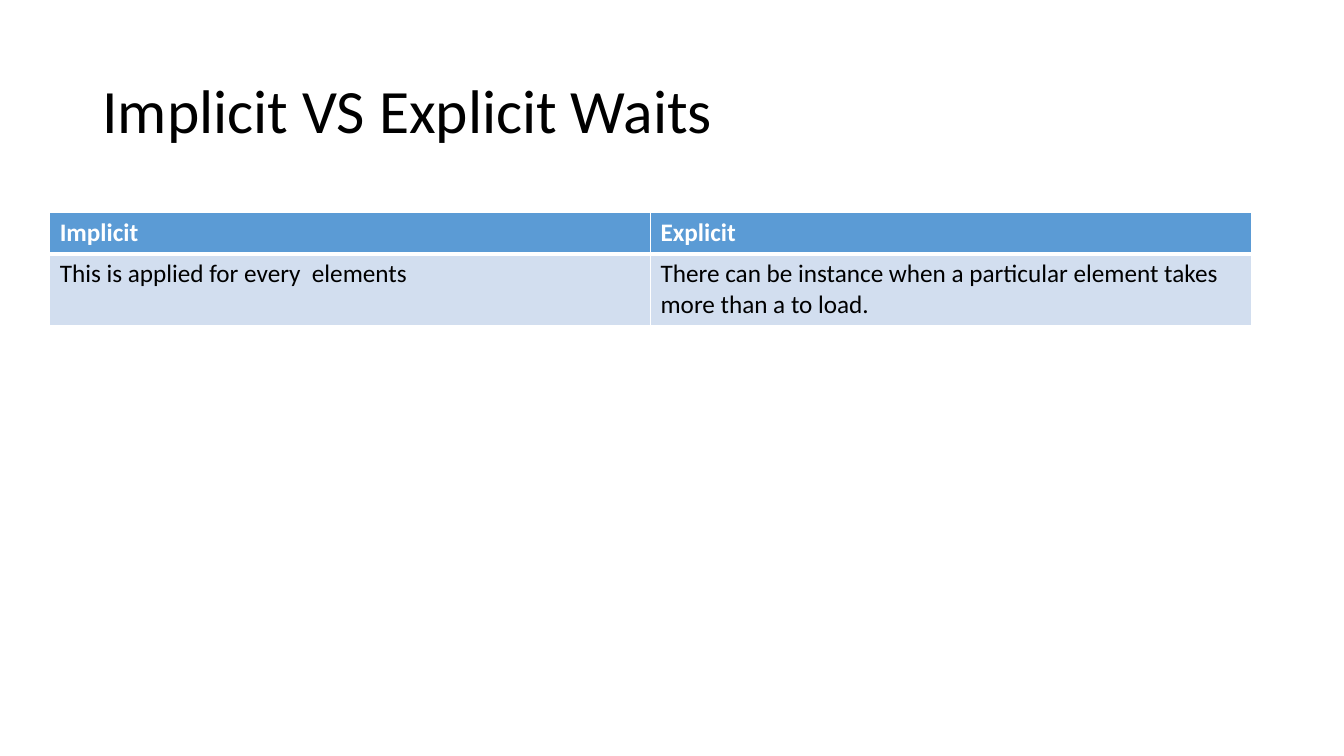
from dataclasses import dataclass

from lxml import etree
from pptx import Presentation
from pptx.dml.color import RGBColor
from pptx.enum.text import MSO_ANCHOR, PP_ALIGN
from pptx.oxml.ns import qn
from pptx.util import Pt

LEFT = PP_ALIGN.LEFT
TOP, MIDDLE = MSO_ANCHOR.TOP, MSO_ANCHOR.MIDDLE
TITLE_ONLY_LAYOUT = 5


@dataclass(frozen=True)
class Theme:
    font: str = "Calibri"
    title_size: int = 44
    table_size: int = 18
    text: str = "000000"
    header_text: str = "FFFFFF"
    header_fill: str = "5B9BD5"
    body_fill: str = "D2DEEF"
    border: str = "FFFFFF"


THEME = Theme()
WAITS = [
    ("Implicit", "Explicit"),
    (
        "This is applied for every  elements",
        "There can be instance when a particular element takes more than a to load.",
    ),
]


def write_text(text_frame, text, *, size, color, bold=False, line_spacing=1.0):
    paragraph = text_frame.paragraphs[0]
    paragraph.alignment = LEFT
    paragraph.line_spacing = line_spacing
    run = paragraph.add_run()
    run.text = text
    run.font.name = THEME.font
    run.font.size = Pt(size)
    run.font.bold = bold
    run.font.color.rgb = RGBColor.from_string(color)


def set_borders(cell, widths):
    """Draw solid cell borders; widths maps each side (L, R, T, B) to points."""
    properties = cell._tc.get_or_add_tcPr()
    for index, (side, width) in enumerate(widths.items()):
        line = etree.Element(qn(f"a:ln{side}"), w=str(Pt(width)))
        fill = etree.SubElement(line, qn("a:solidFill"))
        etree.SubElement(fill, qn("a:srgbClr"), val=THEME.border)
        properties.insert(index, line)


def add_title(slide, text):
    title = slide.shapes.title
    title.left, title.top = Pt(66), Pt(28.75)
    title.width, title.height = Pt(828), Pt(104.4)
    title.text_frame.vertical_anchor = MIDDLE
    title.text_frame.word_wrap = True
    write_text(title.text_frame, text, size=THEME.title_size,
               color=THEME.text, line_spacing=0.9)


def add_comparison_table(slide, rows):
    frame = slide.shapes.add_table(len(rows), len(rows[0]),
                                   Pt(35.5), Pt(152), Pt(858.4), Pt(58.4))
    table = frame.table
    for row_index, row in enumerate(rows):
        is_header = row_index == 0
        fill = THEME.header_fill if is_header else THEME.body_fill
        color = THEME.header_text if is_header else THEME.text
        top = 3 if row_index == 1 else 1
        bottom = 3 if is_header else 1
        for column_index, text in enumerate(row):
            cell = table.cell(row_index, column_index)
            cell.vertical_anchor = TOP
            cell.fill.solid()
            cell.fill.fore_color.rgb = RGBColor.from_string(fill)
            set_borders(cell, {"L": 1, "R": 1, "T": top, "B": bottom})
            write_text(cell.text_frame, text, size=THEME.table_size,
                       color=color, bold=is_header)


def main():
    presentation = Presentation()
    presentation.slide_width, presentation.slide_height = Pt(960), Pt(540)
    slide = presentation.slides.add_slide(presentation.slide_layouts[TITLE_ONLY_LAYOUT])
    add_title(slide, "Implicit VS Explicit Waits")
    add_comparison_table(slide, WAITS)
    presentation.save("out.pptx")


if __name__ == "__main__":
    main()
